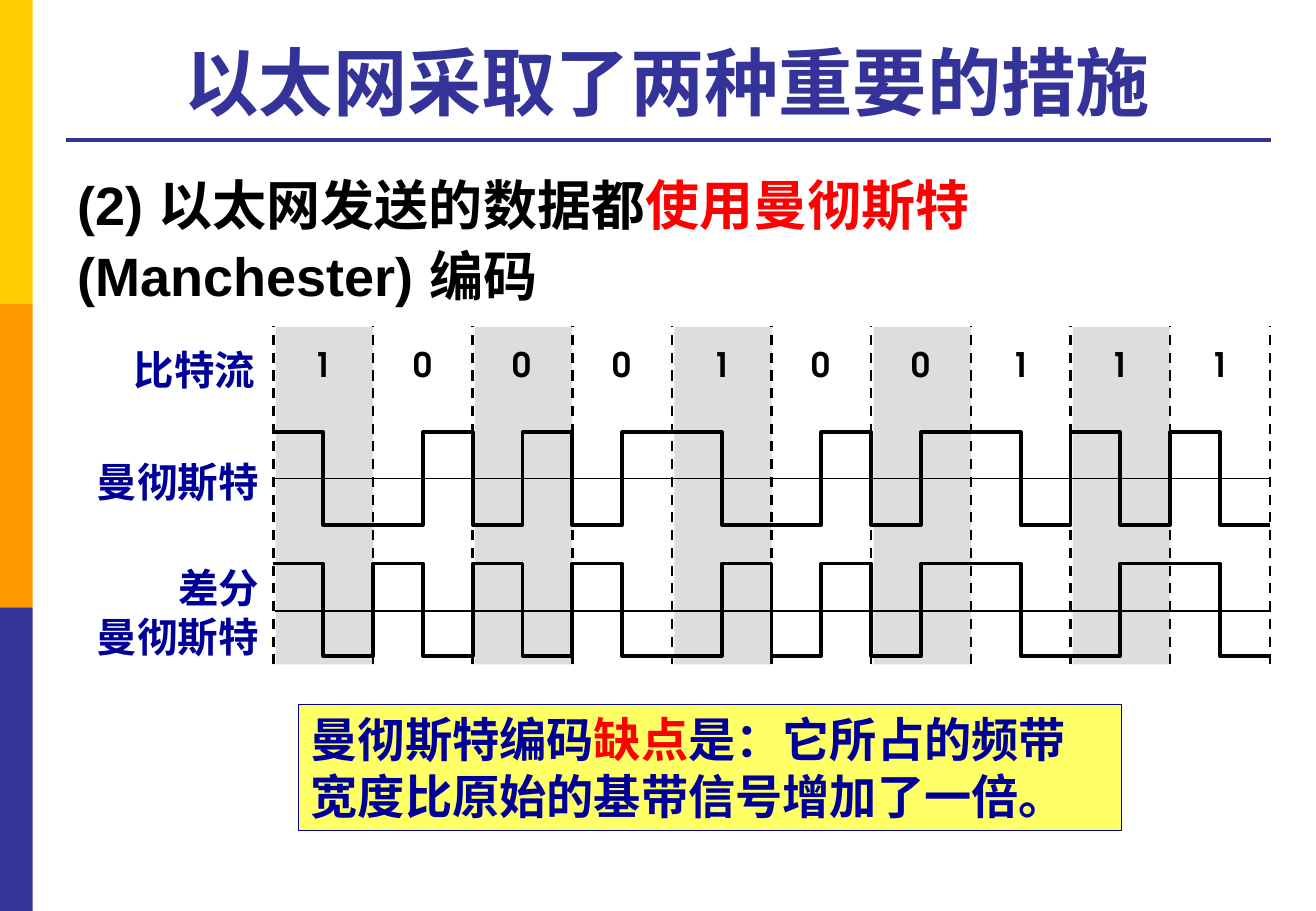
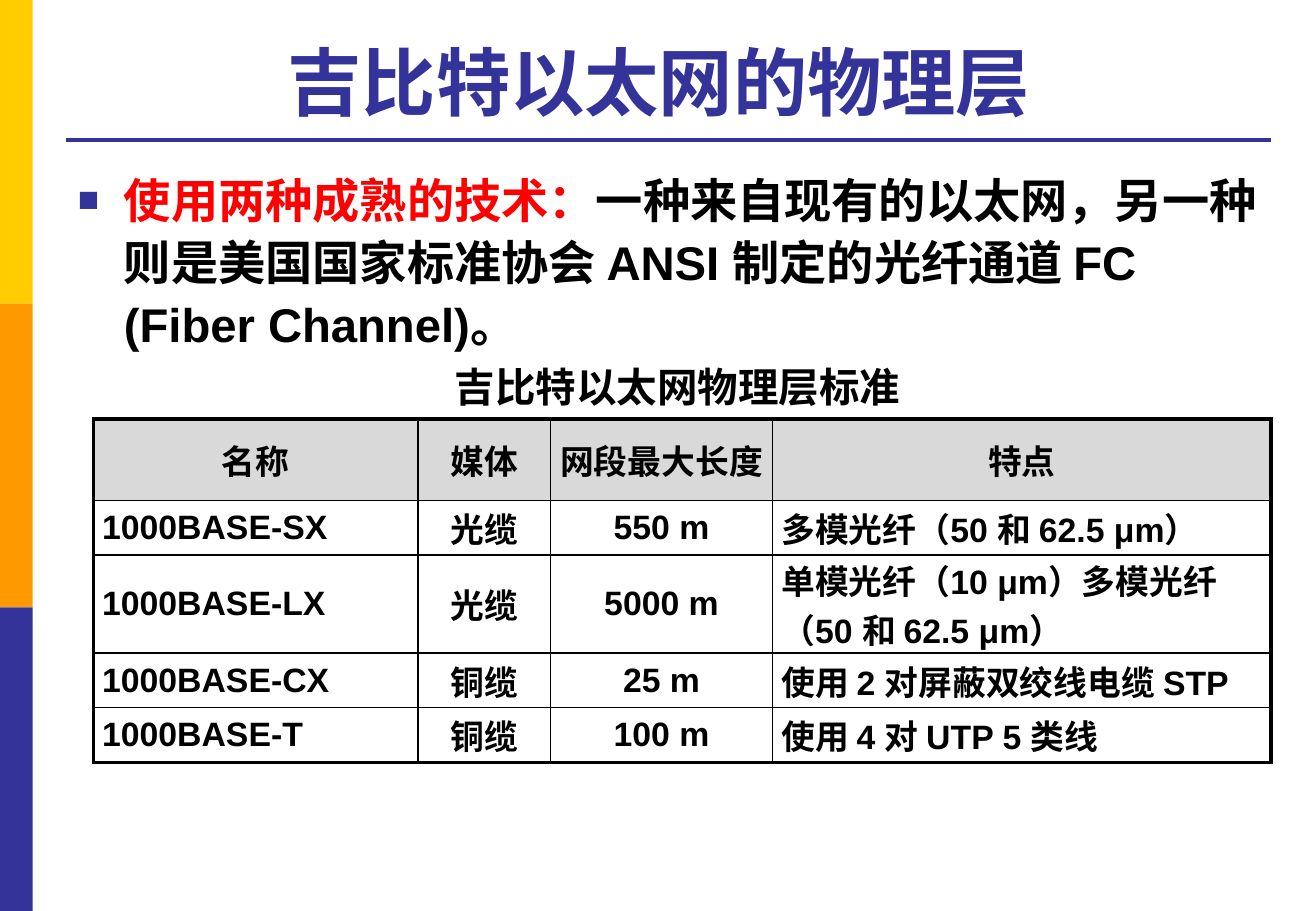
from lxml import etree
from pptx import Presentation
from pptx.dml.color import RGBColor
from pptx.enum.dml import MSO_LINE
from pptx.enum.lang import MSO_LANGUAGE_ID
from pptx.enum.shapes import MSO_CONNECTOR, MSO_SHAPE
from pptx.enum.text import MSO_ANCHOR, MSO_AUTO_SIZE, PP_ALIGN
from pptx.oxml.ns import qn
from pptx.util import Inches, Pt

LEFT, MID, RIGHT, JUST = PP_ALIGN.LEFT, PP_ALIGN.CENTER, PP_ALIGN.RIGHT, PP_ALIGN.JUSTIFY
TOP, CENTER, BOTTOM = MSO_ANCHOR.TOP, MSO_ANCHOR.MIDDLE, MSO_ANCHOR.BOTTOM
FIXED = MSO_AUTO_SIZE.NONE
RECT, LINE, DASH = MSO_SHAPE.RECTANGLE, MSO_CONNECTOR.STRAIGHT, MSO_LINE.DASH
CHINESE = MSO_LANGUAGE_ID.SIMPLIFIED_CHINESE

BLACK = RGBColor(0x00, 0x00, 0x00)
RED = RGBColor(0xFF, 0x00, 0x00)
INDIGO = RGBColor(0x33, 0x33, 0x99)
NAVY = RGBColor(0x00, 0x00, 0x99)
GOLD = RGBColor(0xFF, 0xCC, 0x00)
ORANGE = RGBColor(0xFF, 0x99, 0x00)
YELLOW = RGBColor(0xFF, 0xFF, 0x66)
GRAY = RGBColor(0xDD, 0xDD, 0xDD)
SILVER = RGBColor(0xD9, 0xD9, 0xD9)


def write(frame, *paras, size, color=BLACK, font="Arial", align=LEFT,
          anchor=TOP, space=None, before=None):
    """Fill a frame; a paragraph is a string or a list of (text, color)."""
    frame.word_wrap = True
    frame.vertical_anchor = anchor
    for i, para in enumerate(paras):
        p = frame.add_paragraph() if i else frame.paragraphs[0]
        p.alignment = align
        if space:
            p.line_spacing = space
        if before is not None:
            p.space_before = Pt(before)
        for text, tint in [(para, color)] if isinstance(para, str) else para:
            run = p.add_run()
            run.text = text
            run.font.name = font
            run.font.size = Pt(size)
            run.font.bold = True
            run.font.color.rgb = tint
            run.font.language_id = CHINESE


def node(parent, tag, **attrs):
    return etree.SubElement(parent, qn(tag), attrs)


class Deck:
    def __init__(self):
        self.prs = Presentation()
        self.prs.slide_width = Inches(10.83)
        self.prs.slide_height = Inches(7.5)
        self.slide = None

    def start(self, title):
        """Add a slide with side bands, title and title rule."""
        self.slide = self.prs.slides.add_slide(self.prs.slide_layouts[1])
        for i, color in enumerate((GOLD, ORANGE, INDIGO)):
            self.rect(0, 2.5 * i, 0.27, 2.5, color)
        self.line(0.54, 1.15, 10.46, 1.15, 2.25, INDIGO)
        head = self.slide.shapes.title
        self.place(head, 0.54, 0.21, 9.91, 0.87)
        write(head.text_frame, title, size=44, color=INDIGO, align=MID, anchor=BOTTOM)

    def place(self, shape, x, y, w, h):
        shape.left, shape.top = Inches(x), Inches(y)
        shape.width, shape.height = Inches(w), Inches(h)
        shape.text_frame.auto_size = FIXED

    def body(self, runs, size, bullet=False):
        box = self.slide.placeholders[1]
        self.place(box, 0.54, 1.31, 9.91, 5.4)
        write(box.text_frame, runs, size=size, space=1.1, before=6)
        props = box.text_frame.paragraphs[0]._p.get_or_add_pPr()
        indent = Inches(0.38) if bullet else 0
        props.set("marL", str(indent))
        props.set("indent", str(-indent))
        if bullet:
            node(node(props, "a:buClr"), "a:srgbClr", val=str(INDIGO))
            node(props, "a:buSzPct", val="75000")
            node(props, "a:buFont", typeface="Arial")
            node(props, "a:buChar", char="■")
        else:
            node(props, "a:buNone")

    def rect(self, x, y, w, h, fill, edge=None):
        shape = self.slide.shapes.add_shape(
            RECT, Inches(x), Inches(y), Inches(w), Inches(h))
        shape.shadow.inherit = False
        shape.fill.solid()
        shape.fill.fore_color.rgb = fill
        if edge is None:
            shape.line.fill.background()
        else:
            shape.line.color.rgb = edge
            shape.line.width = Pt(0.75)
        return shape

    def line(self, x1, y1, x2, y2, width=1, color=BLACK, dash=None):
        rule = self.slide.shapes.add_connector(
            LINE, Inches(x1), Inches(y1), Inches(x2), Inches(y2))
        rule.line.color.rgb = color
        rule.line.width = Pt(width)
        if dash:
            rule.line.dash_style = dash
        node(rule._element.spPr, "a:effectLst")

    def text(self, x, y, w, h, *paras, **form):
        box = self.slide.shapes.add_textbox(
            Inches(x), Inches(y), Inches(w), Inches(h))
        write(box.text_frame, *paras, **form)

    def wave(self, points):
        spots = [(Inches(x), Inches(y)) for x, y in points]
        pen = self.slide.shapes.build_freeform(*spots[0])
        pen.add_line_segments(spots[1:], close=False)
        shape = pen.convert_to_shape()
        shape.shadow.inherit = False
        shape.fill.background()
        shape.line.color.rgb = BLACK
        shape.line.width = Pt(2.25)

    def table(self, x, y, cols, rows, data):
        grid = self.slide.shapes.add_table(
            len(rows), len(cols), Inches(x), Inches(y),
            Inches(sum(cols)), Inches(sum(rows))).table
        for i, width in enumerate(cols):
            grid.columns[i].width = Inches(width)
        for r, height in enumerate(rows):
            grid.rows[r].height = Inches(height)
            for c, text in enumerate(data[r]):
                cell = grid.cell(r, c)
                cell.margin_left = cell.margin_right = Inches(0.07)
                cell.margin_top = cell.margin_bottom = 0
                cell.vertical_anchor = CENTER
                align = MID if r == 0 else (JUST, MID, MID, LEFT)[c]
                write(cell.text_frame, text, size=20, align=align, anchor=None)
                outer = {"L": c == 0, "R": c == len(cols) - 1,
                         "T": r == 0, "B": r == len(rows) - 1}
                self.border(cell, outer)
                if r == 0:
                    cell.fill.solid()
                    cell.fill.fore_color.rgb = SILVER
                else:
                    cell.fill.background()

    def border(self, cell, outer):
        """Thick lines on outer sides, thin ones inside."""
        props = cell._tc.get_or_add_tcPr()
        for side, thick in outer.items():
            edge = node(props, f"a:ln{side}", w=str(Pt(2.25 if thick else 1)))
            node(node(edge, "a:solidFill"), "a:srgbClr", val=str(BLACK))


def levels(bits, diff):
    """Yield the high (1) or low (0) level of each half bit."""
    last = 0
    for bit in bits:
        if diff:
            first = last if bit == "1" else 1 - last
            if last is None:
                first = 1
        else:
            first = int(bit)
        last = 1 - first
        yield from (first, last)


def trace(halves, left, half, high, low):
    """Turn half-bit levels into the corner points of a wave."""
    points = []
    for i, level in enumerate(halves):
        y = high if level else low
        points += [(left + i * half, y), (left + (i + 1) * half, y)]
    return points


def coding(deck):
    deck.start("以太网采取了两种重要的措施")
    deck.body([("(2) 以太网发送的数据都", BLACK), ("使用曼彻斯特 ", RED),
               ("(Manchester) 编码", BLACK)], 32)

    # Bit columns
    bits, left, step = "1000100111", 2.25, 0.82
    for i in range(0, len(bits), 2):
        deck.rect(left + i * step + 0.02, 2.69, 0.8, 2.78, GRAY)
    for i in range(len(bits) + 1):
        x = left + i * step
        deck.line(x, 5.47, x, 2.68, 1.5, dash=DASH)
    for i, bit in enumerate(bits):
        deck.text(left + (i + 0.5) * step - 0.2, 2.78, 0.4, 0.43, bit,
                  size=20, font="TeX Gyre Adventor", align=MID)

    # Waves: the differential one starts as if the line had been low at a 0
    plain = levels(bits, False)
    diff = [1 - level for level in levels(bits, True)]
    for halves, high, low in ((plain, 3.56, 4.32), (diff, 4.64, 5.4)):
        deck.wave(trace(halves, left, step / 2, high, low))
    for y in (3.94, 5.03):
        deck.line(2.26, y, 10.46, y)

    # Row labels
    for y, width, names in ((2.79, 1.7, ["比特流"]), (3.71, 1.73, ["曼彻斯特"]),
                            (4.59, 1.73, ["差分", "曼彻斯特"])):
        deck.text(0.5, y, width, 0.5 * len(names), *names,
                  size=24, color=NAVY, align=RIGHT)

    # Drawback
    note = deck.rect(2.46, 5.8, 6.77, 1.04, YELLOW, NAVY)
    write(note.text_frame,
          [("曼彻斯特编码", NAVY), ("缺点", RED),
           ("是：它所占的频带宽度比原始的基带信号增加了一倍。", NAVY)],
          size=28, before=6)


def gigabit(deck):
    deck.start("吉比特以太网的物理层 ")
    deck.body([("使用两种成熟的技术：", RED),
               ("一种来自现有的以太网，另一种则是美国国家标准协会 ANSI "
                "制定的光纤通道 FC (Fiber Channel)。", BLACK)], 28, bullet=True)

    # Standards
    deck.table(0.77, 3.45, (2.67, 1.09, 1.83, 4.1), (0.67, 0.45, 0.8, 0.45, 0.45), (
        ("名称", "媒体", "网段最大长度", "特点"),
        ("1000BASE-SX", "光缆", "550 m", "多模光纤（50 和 62.5 μm）"),
        ("1000BASE-LX", "光缆", "5000 m", "单模光纤（10 μm）多模光纤（50 和 62.5 μm）"),
        ("1000BASE-CX", "铜缆", "25 m", "使用 2 对屏蔽双绞线电缆 STP"),
        ("1000BASE-T", "铜缆", "100 m", "使用 4 对 UTP 5 类线")))
    deck.text(2.82, 2.93, 5.51, 0.5, "吉比特以太网物理层标准",
              size=24, align=MID, anchor=CENTER)


def main():
    deck = Deck()
    coding(deck)
    gigabit(deck)
    deck.prs.save("out.pptx")


if __name__ == "__main__":
    main()
